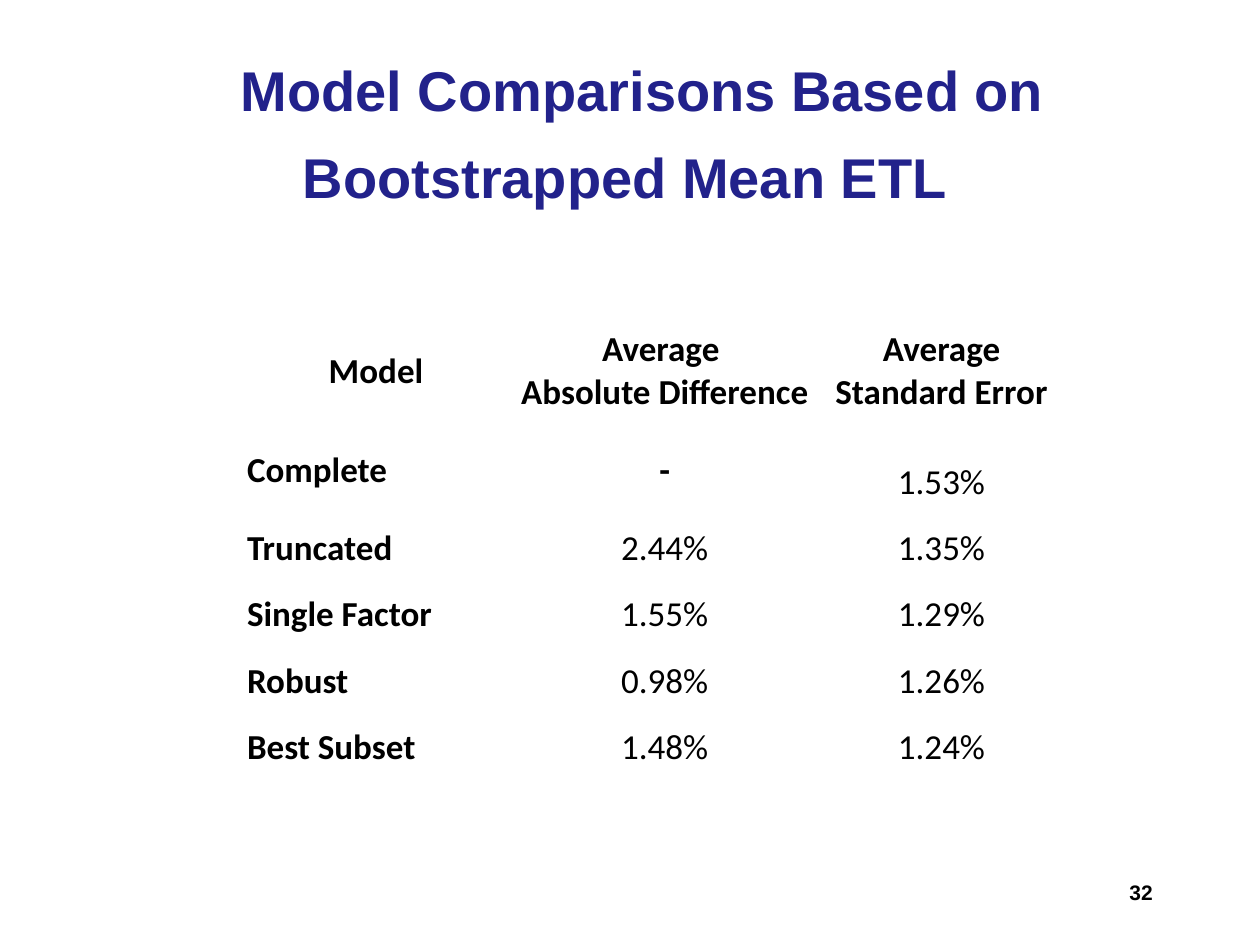
import pptx
import pptx.util
import pptx.dml.color
import pptx.enum.text
from pptx.util import Cm, Pt

ALIGN = pptx.enum.text.PP_ALIGN
ANCHOR = pptx.enum.text.MSO_ANCHOR

TITLE = ["Model Comparisons Based on", "Bootstrapped Mean ETL"]
PAGE = "32"
ROWS = [
    ("Model", "Average \vAbsolute Difference", "Average Standard Error"),
    ("Complete", "-", "1.53%"),
    ("Truncated", "2.44%", "1.35%"),
    ("Single Factor", "1.55%", "1.29%"),
    ("Robust", "0.98%", "1.26%"),
    ("Best Subset", "1.48%", "1.24%"),
]
COL_WIDTHS = [5.26, 6.38, 4.78]
ROW_HEIGHTS = [2.69] + [1.34] * 5

TITLE_FONT = dict(name="Arial", size=Pt(32), bold=True)
TABLE_FONT = dict(name="Calibri", size=Pt(20))
PAGE_FONT = dict(name="Arial", size=Pt(12), bold=True)
CELL_MARGINS = dict(margin_left=Cm(0.03), margin_right=Cm(0.03),
                    margin_top=Cm(0.03), margin_bottom=0)


def assign(obj, values):
    for name, value in values.items():
        setattr(obj, name, value)


def style(p, align, color, font):
    p.alignment = align
    for r in p.runs:
        assign(r.font, font)
        r.font.color.rgb = pptx.dml.color.RGBColor.from_string(color)


def place(sp, left, top, width, height):
    assign(sp, dict(left=Cm(left), top=Cm(top), width=Cm(width), height=Cm(height)))


def add_title(s):
    sp = s.shapes.title
    place(sp, 4.6, 0.99, 17.15, 3.33)
    tf = sp.text_frame
    assign(tf, dict(text="\n".join(TITLE), word_wrap=True, vertical_anchor=ANCHOR.TOP,
                    auto_size=pptx.enum.text.MSO_AUTO_SIZE.NONE))
    for p in tf.paragraphs:
        style(p, ALIGN.LEFT, "22228B", TITLE_FONT)
    second = tf.paragraphs[1]
    second.space_before = Pt(11.5)
    second._p.get_or_add_pPr().set("marL", str(Cm(1.25)))


def add_comparison_table(s):
    frame = s.shapes.add_table(len(ROWS), len(COL_WIDTHS), Cm(4.95), Cm(6.12),
                               Cm(sum(COL_WIDTHS)), Cm(sum(ROW_HEIGHTS)))
    table = frame.table
    assign(table, dict(first_row=False, horz_banding=False))
    for column, width in zip(table.columns, COL_WIDTHS):
        column.width = Cm(width)
    for i, (row, height) in enumerate(zip(ROWS, ROW_HEIGHTS)):
        table.rows[i].height = Cm(height)
        for j, text in enumerate(row):
            cell = table.cell(i, j)
            middle = i == 0 or (i == 1 and j < 2)
            assign(cell, dict(CELL_MARGINS, text=text,
                              vertical_anchor=ANCHOR.MIDDLE if middle else ANCHOR.BOTTOM))
            cell.fill.background()
            align = ALIGN.LEFT if i and j == 0 else ALIGN.CENTER
            bold = not text.endswith("%")
            for p in cell.text_frame.paragraphs:
                style(p, align, "000000", dict(TABLE_FONT, bold=bold))


def add_page_number(s):
    tf = s.shapes.add_textbox(Cm(18.21), Cm(17.35), Cm(5.28), Cm(1.27)).text_frame
    assign(tf, dict(text=PAGE, word_wrap=True, vertical_anchor=ANCHOR.MIDDLE))
    style(tf.paragraphs[0], ALIGN.RIGHT, "000000", PAGE_FONT)


def main():
    prs = pptx.Presentation()
    assign(prs, dict(slide_width=Cm(25.4), slide_height=Cm(19.05)))
    s = prs.slides.add_slide(prs.slide_layouts[5])
    add_page_number(s)
    add_comparison_table(s)
    add_title(s)
    prs.save("out.pptx")


if __name__ == "__main__":
    main()
